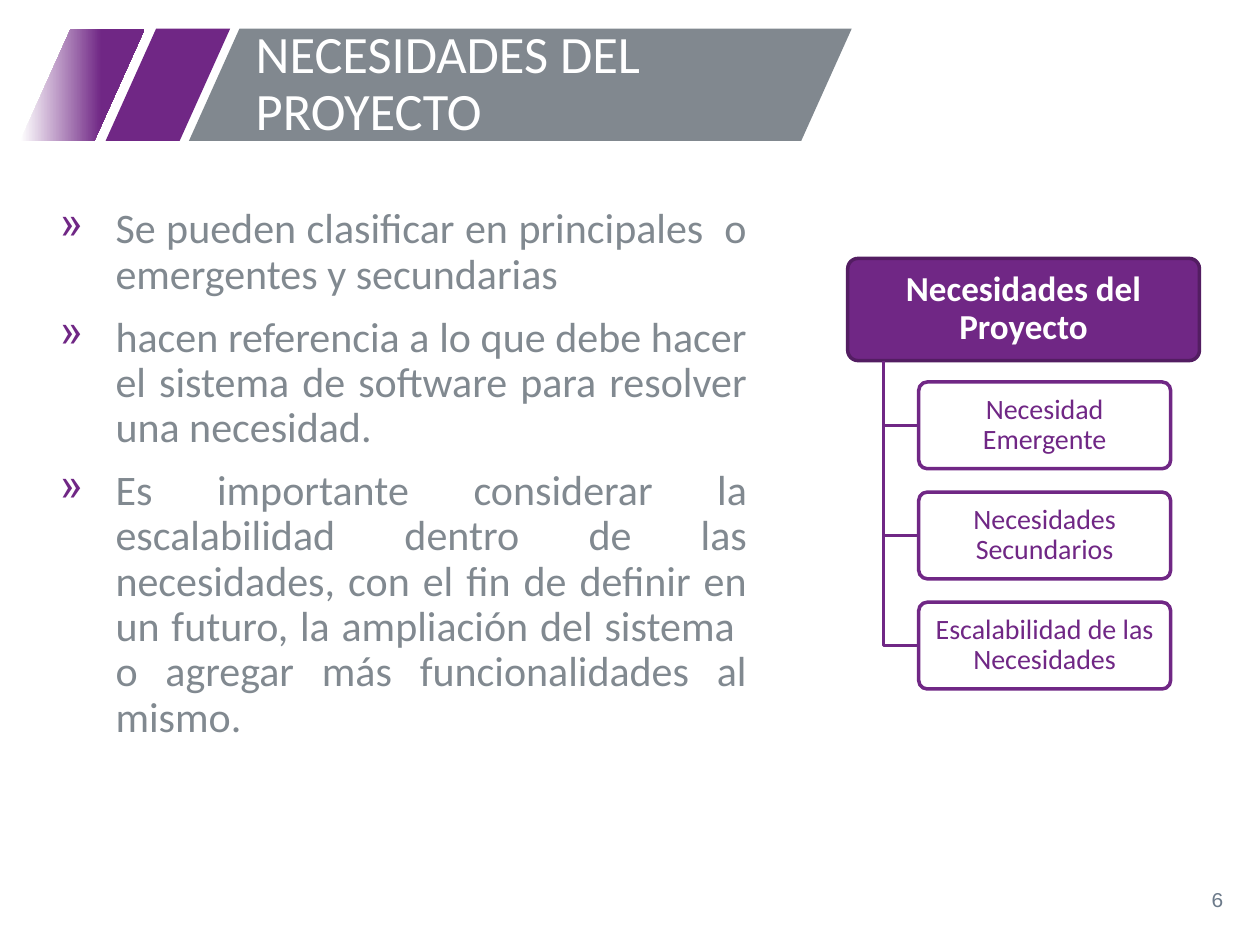
import pptx
import pptx.util
import pptx.dml.color
import pptx.enum.shapes
import pptx.enum.text
from lxml import etree

Cm, Pt = pptx.util.Cm, pptx.util.Pt
SHAPES = pptx.enum.shapes.MSO_SHAPE
ALIGN = pptx.enum.text.PP_ALIGN
ANCHOR = pptx.enum.text.MSO_ANCHOR

PURPLE, DARK_PURPLE, WHITE = "702785", "531D62", "FFFFFF"
BANNER_GREY, TEXT_GREY, NUMBER_GREY = "81888F", "818990", "6C7A8A"
FONT = "Calibri"

TITLE = "NECESIDADES DEL PROYECTO"
BULLETS = [
    "Se pueden clasificar en principales  o emergentes y secundarias",
    "hacen referencia a lo que debe hacer el sistema de software para resolver una necesidad.",
    "Es importante considerar la escalabilidad dentro de las necesidades, con el fin de "
    "definir en un futuro, la ampliación del sistema  o agregar más funcionalidades al mismo.",
]
ROOT = "Necesidades del Proyecto"
NEEDS = ["Necesidad Emergente", "Necesidades Secundarios", "Escalabilidad de las Necesidades"]
SLIDE_NUMBER = "6"
BANNER_TOP, BANNER_HEIGHT = 0.58, 2.26
BANNERS = [(2.13, 2.51, PURPLE), (0.41, 2.51, None), (3.81, 13.36, BANNER_GREY)]

ROOT_BOX = (17.09, 5.21, 7.09, 2.06)
NEED_LEFT, NEED_TOP, NEED_WIDTH, NEED_HEIGHT, NEED_PITCH = 18.52, 7.7, 5.08, 1.75, 2.22
TRUNK_LEFT = 17.81


def color(value):
    """Return the colour for a hex string."""
    return pptx.dml.color.RGBColor.from_string(value)


def write(shape, text, size, text_color, align, anchor=ANCHOR.MIDDLE, bold=False, font=FONT):
    """Put one formatted paragraph in a shape."""
    frame = shape.text_frame
    frame.word_wrap = True
    frame.auto_size = pptx.enum.text.MSO_AUTO_SIZE.NONE
    frame.vertical_anchor = anchor
    frame.text = text
    paragraph = frame.paragraphs[0]
    format_paragraph(paragraph, size, text_color, align, bold, font)


def format_paragraph(paragraph, size, text_color, align, bold=False, font=FONT):
    """Set alignment, spacing and font of a paragraph."""
    paragraph.alignment = align
    paragraph.line_spacing = 0.9
    paragraph.font.size = Pt(size)
    paragraph.font.name = font
    paragraph.font.bold = bold
    paragraph.font.color.rgb = color(text_color)


def add_banner(slide, left, width, fill):
    """Add a slanted banner, fading in from white when no fill is given."""
    shape = slide.shapes.add_shape(
        SHAPES.PARALLELOGRAM, Cm(left), Cm(BANNER_TOP), Cm(width), Cm(BANNER_HEIGHT))
    shape.adjustments[0] = 0.45
    shape.shadow.inherit = False
    shape.line.fill.background()
    if fill:
        shape.fill.solid()
        shape.fill.fore_color.rgb = color(fill)
        return
    shape.fill.gradient()
    shape.fill.gradient_angle = 0
    for stop, (position, value) in zip(shape.fill.gradient_stops, [(0, WHITE), (0.65, PURPLE)]):
        stop.position = position
        stop.color.rgb = color(value)


def add_bullets(slide):
    """Add the justified bullet list."""
    frame = slide.shapes.add_textbox(Cm(0.81), Cm(4.06), Cm(14.5), Cm(14.27)).text_frame
    frame.word_wrap = True
    for index, text in enumerate(BULLETS):
        paragraph = frame.add_paragraph() if index else frame.paragraphs[0]
        paragraph.text = text
        properties = paragraph._p.get_or_add_pPr()
        properties.set("marL", str(Cm(1.27)))
        properties.set("indent", str(Cm(-1.12)))
        namespace = "{%s}" % properties.nsmap["a"]
        bullet_color = etree.SubElement(properties, namespace + "buClr")
        etree.SubElement(bullet_color, namespace + "srgbClr", val=PURPLE)
        etree.SubElement(properties, namespace + "buChar", char="»")
        format_paragraph(paragraph, 24, TEXT_GREY, ALIGN.JUSTIFY)
        if index:
            paragraph.space_before = Pt(10)


def add_box(slide, box, text, size, fill, line, text_color, bold=False):
    """Add a rounded box with centred text."""
    shape = slide.shapes.add_shape(SHAPES.ROUNDED_RECTANGLE, *map(Cm, box))
    shape.adjustments[0] = 0.1
    shape.shadow.inherit = False
    shape.fill.solid()
    shape.fill.fore_color.rgb = color(fill)
    shape.line.color.rgb = color(line)
    shape.line.width = Pt(2)
    frame = shape.text_frame
    frame.margin_left = frame.margin_right = Cm(0.08)
    frame.margin_top = frame.margin_bottom = Cm(0.05)
    write(shape, text, size, text_color, ALIGN.CENTER, bold=bold)


def add_branch(slide, middle):
    """Add the bent line from the root box to a need."""
    builder = slide.shapes.build_freeform(Cm(TRUNK_LEFT), Cm(ROOT_BOX[1] + ROOT_BOX[3]))
    builder.add_line_segments(
        [(Cm(TRUNK_LEFT), Cm(middle)), (Cm(NEED_LEFT), Cm(middle))], close=False)
    shape = builder.convert_to_shape()
    shape.shadow.inherit = False
    shape.fill.background()
    shape.line.color.rgb = color(PURPLE)
    shape.line.width = Pt(2)


def main():
    """Build and save the slide."""
    presentation = pptx.Presentation()
    presentation.slide_width, presentation.slide_height = Cm(25.4), Cm(19.05)
    slide = presentation.slides.add_slide(presentation.slide_layouts[5])

    for left, width, fill in BANNERS:
        add_banner(slide, left, width, fill)

    title = slide.shapes.title
    title.left, title.top = Cm(4.9), Cm(BANNER_TOP)
    title.width, title.height = Cm(11.91), Cm(BANNER_HEIGHT)
    write(title, TITLE, 30, WHITE, ALIGN.LEFT)
    slide.shapes._spTree.append(title._element)

    add_bullets(slide)
    add_box(slide, ROOT_BOX, ROOT, 20, PURPLE, DARK_PURPLE, WHITE, bold=True)
    for index, text in enumerate(NEEDS):
        top = NEED_TOP + index * NEED_PITCH
        add_branch(slide, top + NEED_HEIGHT / 2)
        add_box(slide, (NEED_LEFT, top, NEED_WIDTH, NEED_HEIGHT), text, 16, WHITE, PURPLE, PURPLE)

    number = slide.shapes.add_textbox(Cm(19.2), Cm(17.65), Cm(5.72), Cm(1.02))
    write(number, SLIDE_NUMBER, 12, NUMBER_GREY, ALIGN.RIGHT, font="Courier New")
    presentation.save("out.pptx")


if __name__ == "__main__":
    main()
